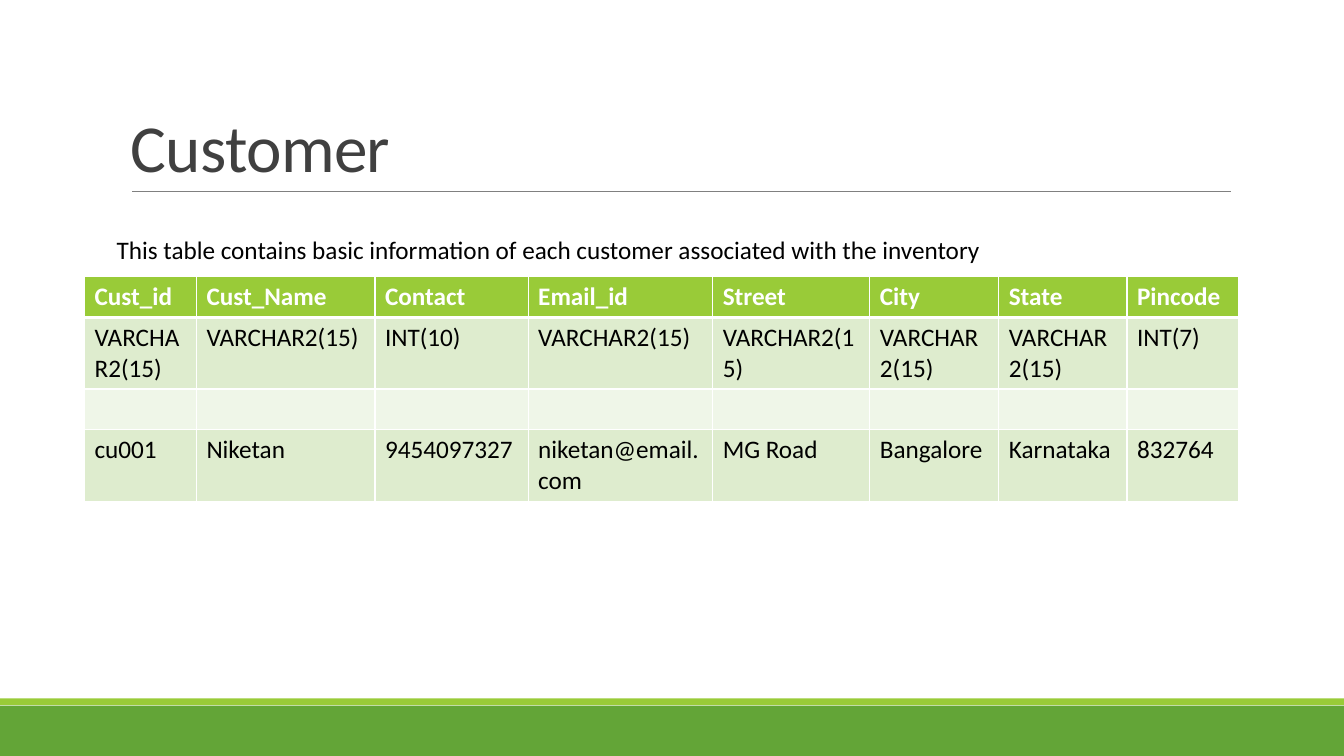
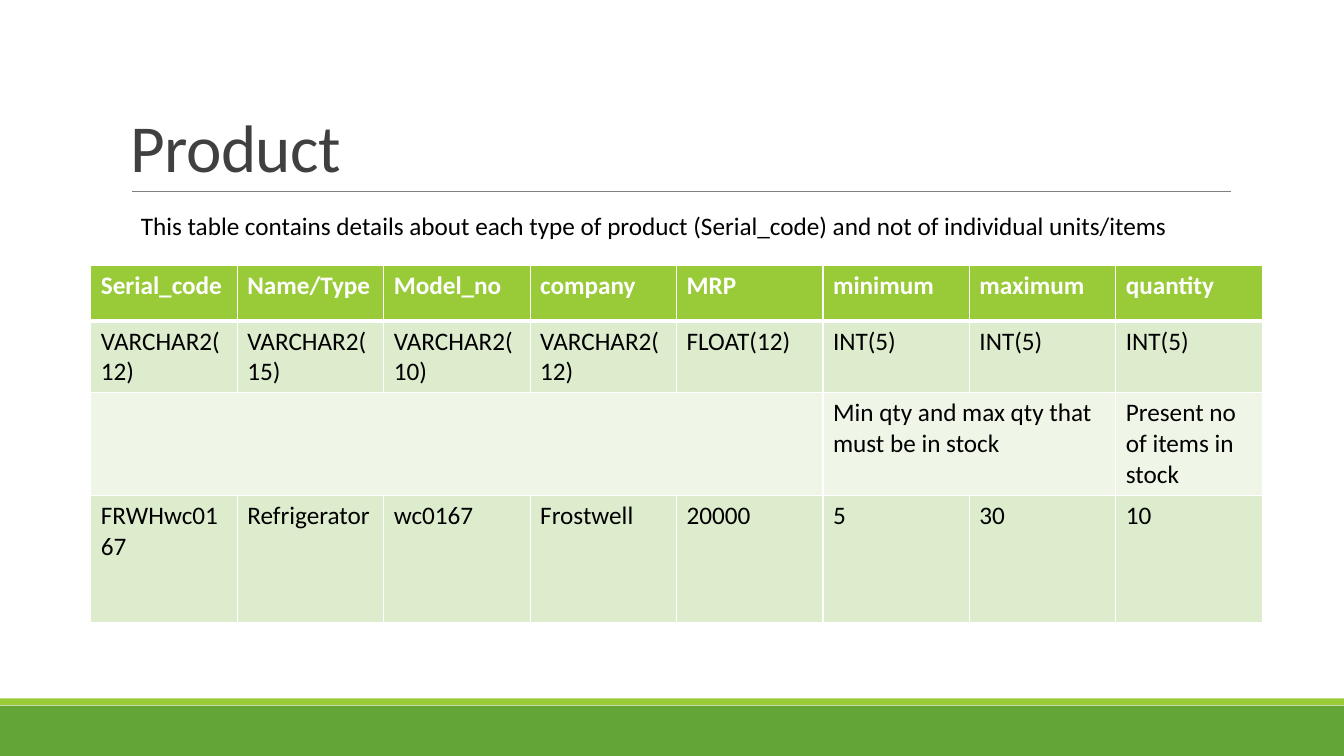
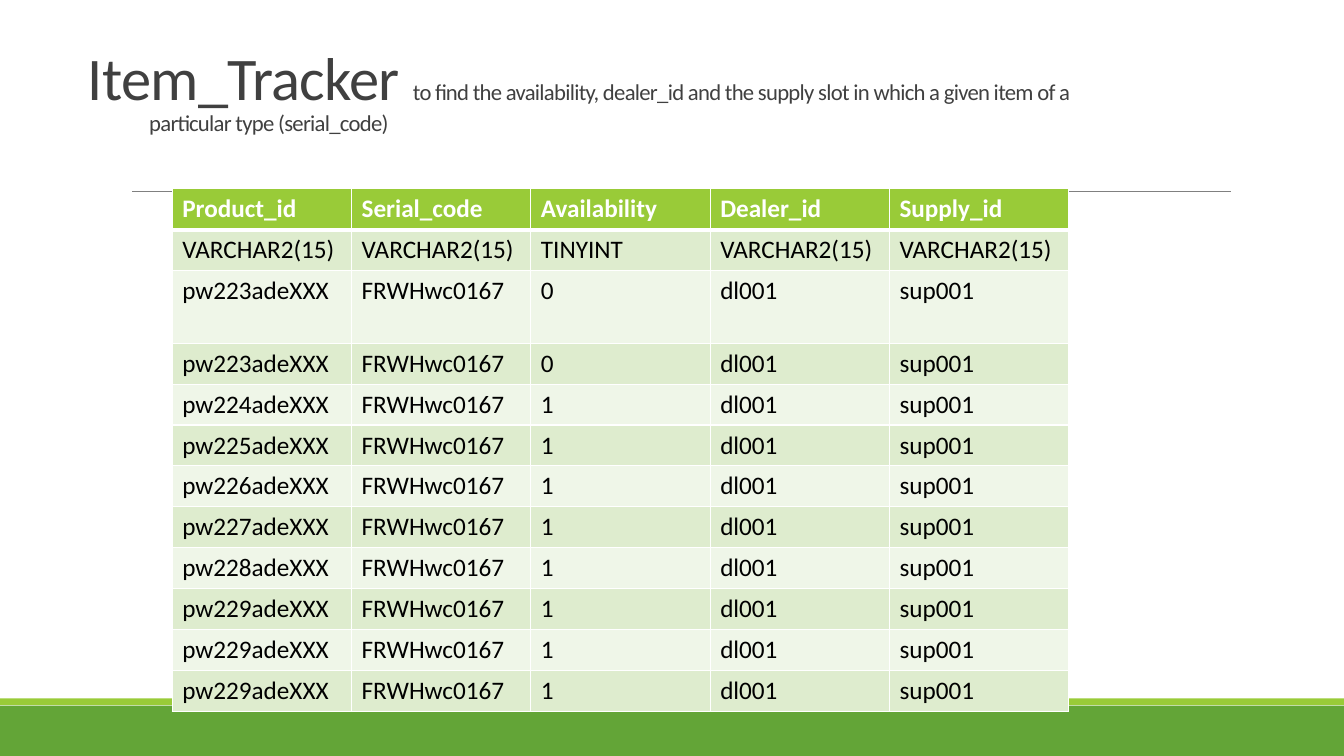
from lxml.etree import SubElement
from pptx import Presentation
from pptx.dml.color import RGBColor
from pptx.enum.shapes import MSO_CONNECTOR as Connector, MSO_SHAPE as Preset
from pptx.enum.text import MSO_ANCHOR as Anchor
from pptx.oxml.ns import qn
from pptx.util import Cm, Pt

GREEN = RGBColor(0x63, 0xA5, 0x37)
LIME = RGBColor(0x99, 0xCB, 0x38)
PALE_GREEN = RGBColor(0xDE, 0xEC, 0xCE)
FAINT_GREEN = RGBColor(0xEF, 0xF6, 0xE8)
GRAY = RGBColor(0x80, 0x80, 0x80)
CHARCOAL = RGBColor(0x40, 0x40, 0x40)
BLACK = RGBColor(0, 0, 0)
WHITE = RGBColor(0xFF, 0xFF, 0xFF)

SLIDE_WIDTH, SLIDE_HEIGHT = 33.87, 19.05
ROW = 1.03
TWO_LINE_ROW = 1.8


class Deck:
    font_name = "Calibri"
    body_size = 18
    title_size = 48

    def __init__(self):
        self.presentation = Presentation()
        self.presentation.slide_width = Cm(SLIDE_WIDTH)
        self.presentation.slide_height = Cm(SLIDE_HEIGHT)
        self.slide = None

    def add_slide(self):
        self.slide = self.presentation.slides.add_slide(self.presentation.slide_layouts[6])
        self.band(17.78, 1.27, GREEN)
        self.band(17.6, 0.17, LIME)
        self.rule(3.33, 31.01, 4.82)

    def band(self, top, height, color):
        shape = self.slide.shapes.add_shape(
            Preset.RECTANGLE, 0, Cm(top), Cm(SLIDE_WIDTH), Cm(height))
        shape.shadow.inherit = False
        shape.fill.solid()
        shape.fill.fore_color.rgb = color
        shape.line.fill.background()

    def rule(self, left, right, top):
        connector = self.slide.shapes.add_connector(
            Connector.STRAIGHT, Cm(left), Cm(top), Cm(right), Cm(top))
        connector.line.color.rgb = GRAY
        connector.line.width = Pt(0.5)
        SubElement(connector._element.spPr, qn("a:effectLst"))

    def run(self, paragraph, text, size, color, bold=False):
        run = paragraph.add_run()
        run.text = text
        run.font.name = self.font_name
        run.font.size = Pt(size)
        run.font.color.rgb = color
        run.font.bold = bold
        return run

    def text_box(self, left, top, width, height, anchor=Anchor.TOP):
        frame = self.slide.shapes.add_textbox(
            Cm(left), Cm(top), Cm(width), Cm(height)).text_frame
        frame.word_wrap = True
        frame.vertical_anchor = anchor
        return frame.paragraphs[0]

    def title_run(self, paragraph, text, size):
        run = self.run(paragraph, text, size, CHARCOAL)
        run.font._element.set("spc", "-50")

    def title(self, text, box=(3.05, 0.79, 27.94, 4.04), size=title_size):
        paragraph = self.text_box(*box, Anchor.BOTTOM)
        paragraph.line_spacing = 0.85
        self.title_run(paragraph, text, size)
        return paragraph

    def title_note(self, paragraph, lines, size, indent):
        properties = paragraph._p.get_or_add_pPr()
        properties.set("marL", str(Cm(indent)))
        properties.set("indent", str(-Cm(indent)))
        for index, line in enumerate(lines):
            if index:
                paragraph.add_line_break()
            self.title_run(paragraph, line, size)

    def caption(self, text, left, top):
        paragraph = self.text_box(left, top, 27, 1.02)
        self.run(paragraph, text, self.body_size, BLACK)

    def borders(self, cell, row_index):
        properties = cell._tc.get_or_add_tcPr()
        widths = {"L": 1, "R": 1, "T": 3 if row_index == 1 else 1,
                  "B": 3 if row_index == 0 else 1}
        for side, width in widths.items():
            line = SubElement(properties, qn(f"a:ln{side}"), w=str(Pt(width)))
            fill = SubElement(line, qn("a:solidFill"))
            SubElement(fill, qn("a:srgbClr"), val=str(WHITE))

    def table(self, left, top, widths, heights, rows, merges=()):
        table = self.slide.shapes.add_table(
            len(rows), len(widths), Cm(left), Cm(top),
            Cm(sum(widths)), Cm(sum(heights))).table
        table.horz_banding = False
        for column, width in zip(table.columns, widths):
            column.width = Cm(width)
        for row, height in zip(table.rows, heights):
            row.height = Cm(height)
        for row_index, first, last in merges:
            table.cell(row_index, first).merge(table.cell(row_index, last))
        for row_index, texts in enumerate(rows):
            header = row_index == 0
            color = LIME if header else (FAINT_GREEN, PALE_GREEN)[row_index % 2]
            for column_index, text in enumerate(texts):
                cell = table.cell(row_index, column_index)
                self.borders(cell, row_index)
                cell.fill.solid()
                cell.fill.fore_color.rgb = color
                if text:
                    self.run(cell.text_frame.paragraphs[0], text, self.body_size,
                             WHITE if header else BLACK, header)

    def save(self):
        self.presentation.save("out.pptx")


def customer(deck):
    deck.add_slide()
    deck.title("Customer")
    deck.table(
        2.13, 6.97, [2.82, 4.5, 3.86, 4.65, 3.96, 3.25, 3.23, 2.82],
        [ROW, TWO_LINE_ROW, ROW, TWO_LINE_ROW],
        [
            ["Cust_id", "Cust_Name", "Contact", "Email_id",
             "Street", "City", "State", "Pincode"],
            ["VARCHAR2(15)", "VARCHAR2(15)", "INT(10)"] + ["VARCHAR2(15)"] * 4 + ["INT(7)"],
            [""] * 8,
            ["cu001", "Niketan", "9454097327", "niketan@email.com",
             "MG Road", "Bangalore", "Karnataka", "832764"],
        ])
    deck.caption("This table contains basic information of each customer "
                 "associated with the inventory", 2.69, 5.77)


def product(deck):
    deck.add_slide()
    deck.title("Product")
    deck.table(
        2.29, 6.69, [3.69] * 8, [1.4, TWO_LINE_ROW, 2.59, 3.2],
        [
            ["Serial_code", "Name/Type", "Model_no", "company",
             "MRP", "minimum", "maximum", "quantity"],
            ["VARCHAR2(12)", "VARCHAR2(15)", "VARCHAR2(10)", "VARCHAR2(12)",
             "FLOAT(12)"] + ["INT(5)"] * 3,
            [""] * 5 + ["Min qty and max qty that must be in stock", "",
                        "Present no of items in stock"],
            ["FRWHwc0167", "Refrigerator", "wc0167", "Frostwell",
             "20000", "5", "30", "10"],
        ],
        merges=[(2, 0, 4), (2, 5, 6)])
    deck.caption("This table contains details about each type of product (Serial_code) "
                 "and not of individual units/items", 3.3, 5.18)


def item_tracker(deck):
    deck.add_slide()
    paragraph = deck.title("Item_Tracker ", (1.96, 1.19, 28.17, 2.36), 43.2)
    deck.title_note(
        paragraph,
        ["to find the availability, dealer_id and the supply slot in which a given item of a",
         "particular type (serial_code)"],
        16.2, 1.55)
    items = [(223, 0), (223, 0)] + [(number, 1) for number in range(224, 230)] + [(229, 1)] * 2
    rows = [
        ["Product_id", "Serial_code", "Availability", "Dealer_id", "Supply_id"],
        ["VARCHAR2(15)", "VARCHAR2(15)", "TINYINT", "VARCHAR2(15)", "VARCHAR2(15)"],
    ]
    rows += [[f"pw{number}adeXXX", "FRWHwc0167", str(available), "dl001", "sup001"]
             for number, available in items]
    deck.table(4.34, 4.76, [4.52] * 5, [ROW, ROW, 1.83] + [ROW] * 9, rows)


def main():
    deck = Deck()
    customer(deck)
    product(deck)
    item_tracker(deck)
    deck.save()


if __name__ == "__main__":
    main()
